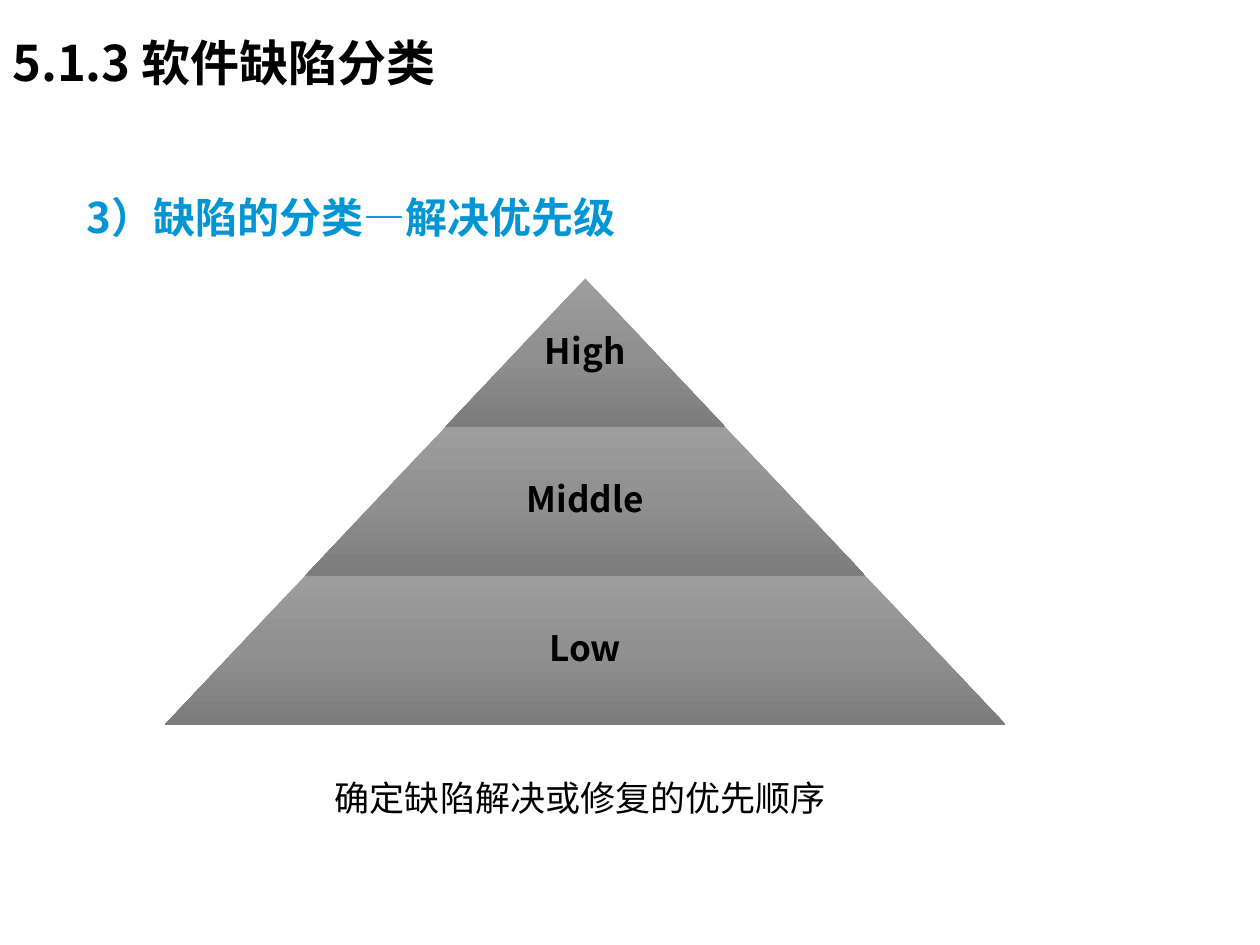
from copy import deepcopy

from lxml.etree import SubElement
from pptx import Presentation
from pptx.dml.color import RGBColor
from pptx.enum.shapes import MSO_SHAPE
from pptx.enum.text import MSO_ANCHOR, PP_ALIGN
from pptx.oxml.ns import qn
from pptx.util import Inches, Pt

FONT = "Noto Sans CJK SC"
BLACK = RGBColor(0x00, 0x00, 0x00)
BLUE = RGBColor(0x00, 0x96, 0xD6)
TIER_STOPS = [
    (0, RGBColor(0x9D, 0x9D, 0x9D)),
    (0.5, RGBColor(0x90, 0x90, 0x90)),
    (1, RGBColor(0x7C, 0x7C, 0x7C)),
]


def add_text(s, box, text, size, color=BLACK, bold=False, anchor=MSO_ANCHOR.TOP):
    tf = s.shapes.add_textbox(*map(Inches, box)).text_frame
    tf.word_wrap = True
    tf.vertical_anchor = anchor
    p = tf.paragraphs[0]
    r = p.add_run()
    r.text = text
    r.font.name = FONT
    r.font.size = Pt(size)
    r.font.bold = bold
    r.font.color.rgb = color
    SubElement(r.font._element, qn("a:ea")).set("typeface", FONT)
    return tf


def fill_gradient(shape, stops):
    shape.fill.gradient()
    shape.fill.gradient_angle = 270
    gs_list = shape._element.spPr.find(qn("a:gradFill")).find(qn("a:gsLst"))
    gs_list.insert(1, deepcopy(gs_list[0]))
    for stop, (position, color) in zip(shape.fill.gradient_stops, stops):
        stop.position = position
        stop.color.rgb = color


def add_tier(s, box, slope, label):
    tier = s.shapes.add_shape(MSO_SHAPE.TRAPEZOID, *map(Inches, box))
    tier.adjustments[0] = slope
    tier.shadow.inherit = False
    tier.line.fill.background()
    fill_gradient(tier, TIER_STOPS)
    tf = add_text(s, box, label, 20, bold=True, anchor=MSO_ANCHOR.MIDDLE)
    tf.margin_left = tf.margin_right = Inches(0.03)
    tf.margin_top = tf.margin_bottom = Inches(0.03)
    p = tf.paragraphs[0]
    p.alignment = PP_ALIGN.CENTER
    p.line_spacing = 0.9


def add_pyramid(s, box, labels):
    left, top, width, height = box
    tier_height = height / len(labels)
    slope = width / 2 / height
    for i, label in enumerate(labels):
        tier_width = width * (i + 1) / len(labels)
        tier_left = left + (width - tier_width) / 2
        tier_top = top + i * tier_height
        add_tier(s, (tier_left, tier_top, tier_width, tier_height), slope, label)


def main():
    prs = Presentation()
    prs.slide_width = Inches(10)
    prs.slide_height = Inches(7.5)
    s = prs.slides.add_slide(prs.slide_layouts[6])
    add_text(s, (0.59, 1.47, 4.8, 0.5), "3）缺陷的分类—解决优先级", 24, BLUE, True)
    add_text(s, (0, 0.03, 9, 0.92), "5.1.3 软件缺陷分类", 28, bold=True, anchor=MSO_ANCHOR.MIDDLE)
    add_pyramid(s, (1.31, 2.21, 6.67, 3.54), ["High", "Middle", "Low"])
    add_text(s, (2.56, 6.11, 4.57, 0.44), "确定缺陷解决或修复的优先顺序", 20)
    prs.save("out.pptx")


if __name__ == "__main__":
    main()
